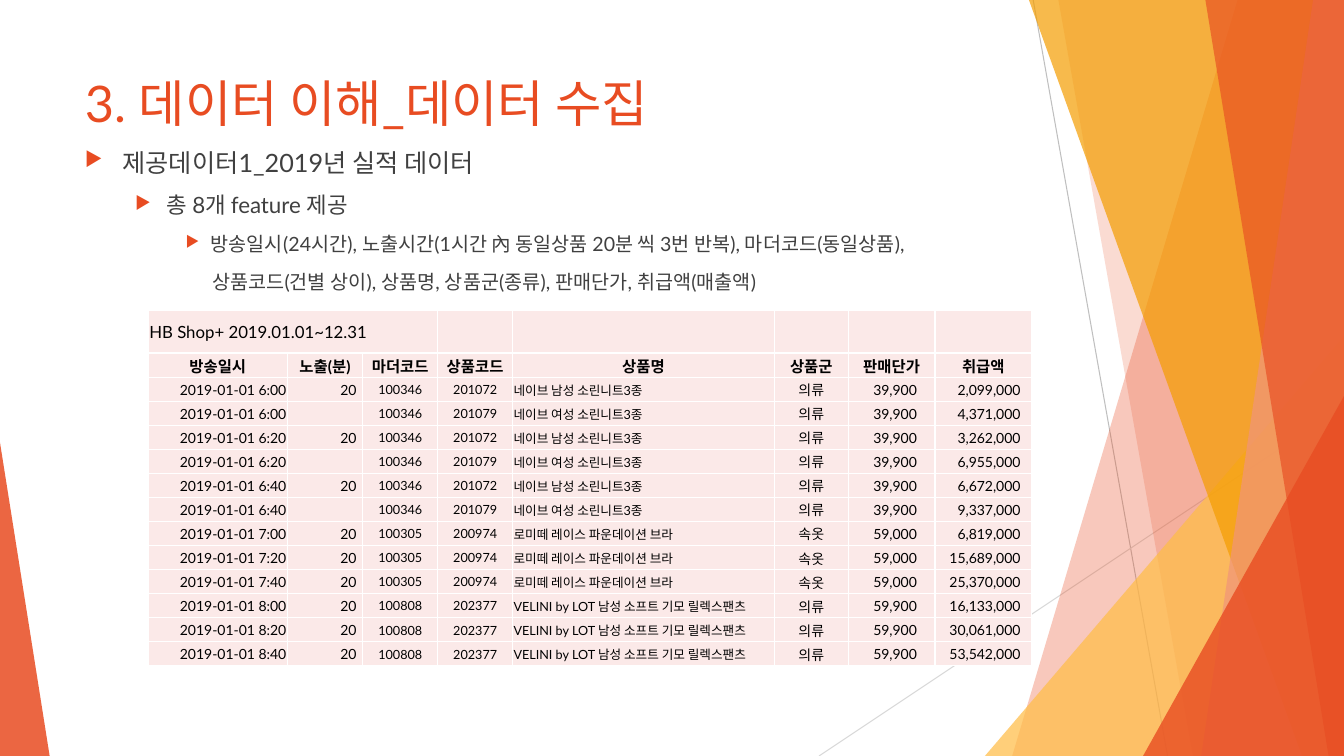
"""Build the slide on the 2019 sales data: heading, feature outline and sample table."""
from lxml.etree import SubElement
from pptx import Presentation
from pptx.dml.color import RGBColor
from pptx.enum.shapes import MSO_CONNECTOR, MSO_SHAPE
from pptx.enum.text import MSO_ANCHOR, PP_ALIGN
from pptx.oxml.ns import qn
from pptx.util import Pt

WIDTH, HEIGHT = 960, 540
FONT = "Lato"
ORANGE = RGBColor(0xE8, 0x4C, 0x22)
AMBER = RGBColor(0xF4, 0x9D, 0x00)
YELLOW = RGBColor(0xFF, 0xBD, 0x47)
SALMON = RGBColor(0xF1, 0x94, 0x7A)
PINK = RGBColor(0xFB, 0xE9, 0xE8)
GREY = RGBColor(0xBF, 0xBF, 0xBF)
LIGHT_GREY = RGBColor(0xD9, 0xD9, 0xD9)
DARK = RGBColor(0x40, 0x40, 0x40)
BLACK = RGBColor(0, 0, 0)


def paint(sp, color, opacity):
    sp.shadow.inherit = False
    sp.line.fill.background()
    sp.fill.solid()
    sp.fill.fore_color.rgb = color
    clr = sp.fill._xPr.find(".//" + qn("a:srgbClr"))
    SubElement(clr, qn("a:alpha"), val=str(opacity * 1000))


def write(p, text, size, color, bold=False):
    r = p.add_run()
    r.text = text
    for name, value in {"name": FONT, "size": Pt(size), "bold": bold}.items():
        setattr(r.font, name, value)
    r.font.color.rgb = color


prs = Presentation()
prs.slide_width, prs.slide_height = Pt(WIDTH), Pt(HEIGHT)
s = prs.slides.add_slide(prs.slide_layouts[6])

for x1, y1, x2, y2, color in [(738, 0, 834, 540, GREY), (960, 290, 585, 540, LIGHT_GREY)]:
    line = s.shapes.add_connector(MSO_CONNECTOR.STRAIGHT, Pt(x1), Pt(y1), Pt(x2), Pt(y2))
    line.line.color.rgb = color
    line.line.width = Pt(0.75)
    SubElement(line._element.spPr, qn("a:effectLst"))

facets = [
    ("band", 884, 723, ORANGE, 30),
    ("band", 756, 852, ORANGE, 20),
    ("triangle", 703.5, 240, WIDTH, 1, YELLOW, 72),
    ("band", 735, 930, AMBER, 70),
    ("band", 938, 858, SALMON, 70),
    ("band", 861, 949, ORANGE, 65),
    ("triangle", 816.5, 283, WIDTH, 1, ORANGE, 80),
    ("triangle", 0, 316, 35.5, 0, ORANGE, 85),
]
for kind, *geometry, color, opacity in facets:
    if kind == "band":
        top_x, bottom_x = geometry
        fb = s.shapes.build_freeform(Pt(top_x), 0)
        corners = [(WIDTH, 0), (WIDTH, HEIGHT), (bottom_x, HEIGHT)]
        fb.add_line_segments([(Pt(x), Pt(y)) for x, y in corners])
        sp = fb.convert_to_shape()
    else:
        left, top, right, apex = geometry
        sp = s.shapes.add_shape(MSO_SHAPE.ISOSCELES_TRIANGLE, Pt(left), Pt(top),
                                Pt(right - left), Pt(HEIGHT - top))
        sp.adjustments[0] = apex
    paint(sp, color, opacity)

tf = s.shapes.add_textbox(Pt(53.5), Pt(48), Pt(677), Pt(50)).text_frame
tf.word_wrap = True
write(tf.paragraphs[0], "3. 데이터 이해_데이터 수집", 36, ORANGE)

outline = [
    ("제공데이터1_2019년 실적 데이터", 18, 0, 27, 27),
    ("총 8개 feature 제공", 16, 1, 58.5, 22.5),
    ("방송일시(24시간), 노출시간(1시간 內 동일상품 20분 씩 3번 반복), 마더코드(동일상품),",
     14, 2, 90, 18),
    ("상품코드(건별 상이), 상품명, 상품군(종류), 판매단가, 취급액(매출액)", 14, 2, 91, 0),
]
tf = s.shapes.add_textbox(Pt(53.5), Pt(101.5), Pt(710), Pt(115)).text_frame
tf.word_wrap = True
for i, (text, size, level, margin, hanging) in enumerate(outline):
    p = tf.add_paragraph() if i else tf.paragraphs[0]
    p.level = level
    p.space_before = Pt(10 if i else 0)
    pPr = p._p.get_or_add_pPr()
    pPr.set("marL", str(Pt(margin)))
    pPr.set("indent", str(-Pt(hanging)))
    if hanging:
        bullet_color = SubElement(pPr, qn("a:buClr"))
        SubElement(bullet_color, qn("a:srgbClr"), val=str(ORANGE))
        SubElement(pPr, qn("a:buSzPct"), val="80000")
        SubElement(pPr, qn("a:buChar"), char="▶")
    else:
        SubElement(pPr, qn("a:buNone"))
    write(p, text, size, DARK)

products = {
    "201072": ("100346", "네이브 남성 소린니트3종", "의류", "39,900"),
    "201079": ("100346", "네이브 여성 소린니트3종", "의류", "39,900"),
    "200974": ("100305", "로미떼 레이스 파운데이션 브라", "속옷", "59,000"),
    "202377": ("100808", "VELINI by LOT 남성 소프트 기모 릴렉스팬츠", "의류", "59,900"),
}
broadcasts = [
    ("6:00", "201072", "2,099,000"), ("6:00", "201079", "4,371,000"),
    ("6:20", "201072", "3,262,000"), ("6:20", "201079", "6,955,000"),
    ("6:40", "201072", "6,672,000"), ("6:40", "201079", "9,337,000"),
    ("7:00", "200974", "6,819,000"), ("7:20", "200974", "15,689,000"),
    ("7:40", "200974", "25,370,000"), ("8:00", "202377", "16,133,000"),
    ("8:20", "202377", "30,061,000"), ("8:40", "202377", "53,542,000"),
]
rows = [
    ["HB Shop+ 2019.01.01~12.31"] + [""] * 7,
    ["방송일시", "노출(분)", "마더코드", "상품코드", "상품명", "상품군", "판매단가", "취급액"],
]
for time, code, amount in broadcasts:
    mother, product, group, price = products[code]
    minutes = "" if code == "201079" else "20"
    rows.append([f"2019-01-01 {time}", minutes, mother, code, product, group, price, amount])

LEFT, CENTER, RIGHT = PP_ALIGN.LEFT, PP_ALIGN.CENTER, PP_ALIGN.RIGHT
columns = [
    (99.2, RIGHT, 10, 0.7), (54, RIGHT, 10, 4.5), (53.5, CENTER, 9, 0.7), (53.5, CENTER, 9, 0.7),
    (187, LEFT, 9, 0.7), (52.8, CENTER, 10, 0.7), (62, RIGHT, 10, 13), (69, RIGHT, 10, 8),
]
table = s.shapes.add_table(len(rows), len(columns), Pt(106), Pt(222),
                           Pt(631), Pt(253.6)).table
table.first_row = table.horz_banding = False
for column, (width, *_) in zip(table.columns, columns):
    column.width = Pt(width)
for i, texts in enumerate(rows):
    table.rows[i].height = Pt(17.2 if i else 30.2)
    for j, (text, (_, align, size, inset)) in enumerate(zip(texts, columns)):
        if i == 0:
            align, size, inset = LEFT, 12, 0.7
        elif i == 1:
            align, size, inset = CENTER, 11, 0.7
        cell = table.cell(i, j)
        margins = {"margin_left": Pt(0.7), "margin_right": Pt(inset), "margin_top": Pt(0.7),
                   "margin_bottom": 0, "vertical_anchor": MSO_ANCHOR.MIDDLE}
        for name, value in margins.items():
            setattr(cell, name, value)
        tcPr = cell._tc.get_or_add_tcPr()
        for side in ("lnL", "lnR", "lnT", "lnB"):
            border = SubElement(tcPr, qn(f"a:{side}"), w=str(Pt(1)))
            SubElement(SubElement(border, qn("a:solidFill")), qn("a:srgbClr"), val="FFFFFF")
        cell.fill.solid()
        cell.fill.fore_color.rgb = PINK
        p = cell.text_frame.paragraphs[0]
        p.alignment = align
        if text:
            write(p, text, size, BLACK, i == 1)
        else:
            SubElement(p._p, qn("a:endParaRPr"), sz=str(size * 100))
table.cell(0, 0).merge(table.cell(0, 2))

prs.save("out.pptx")
